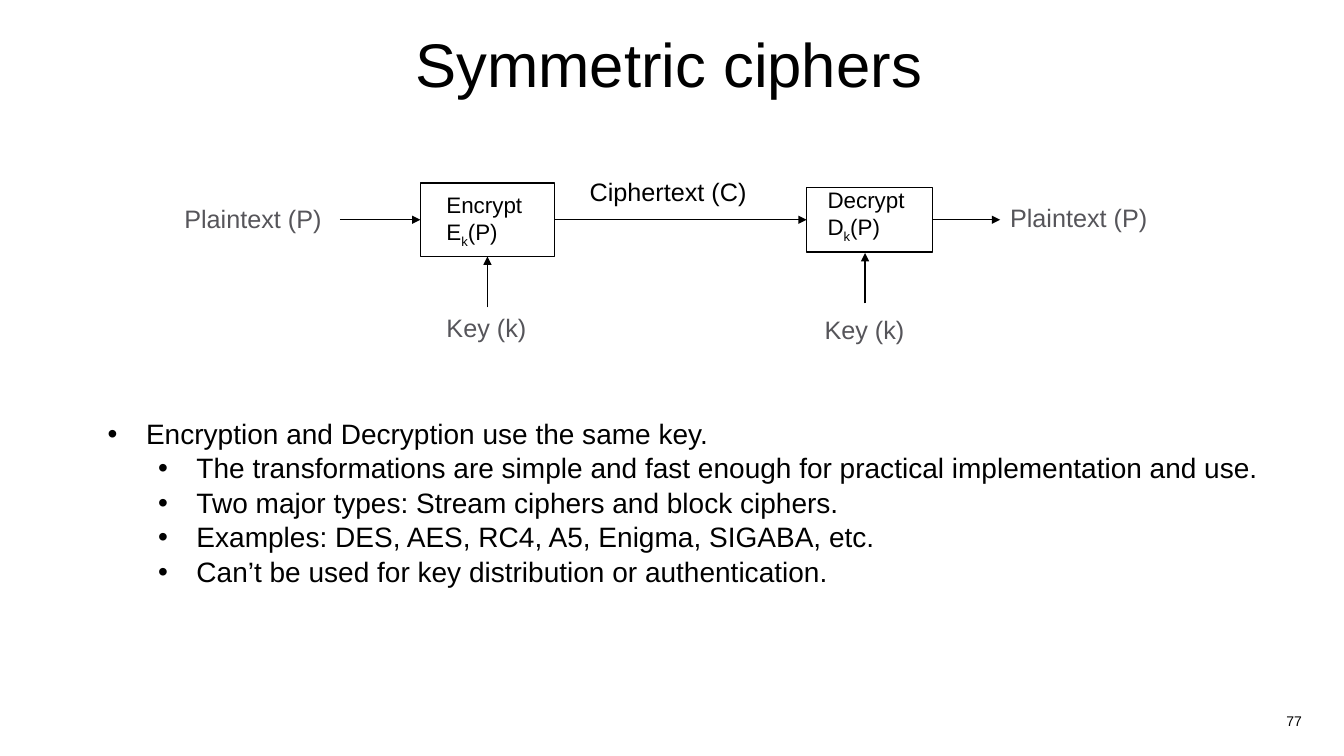
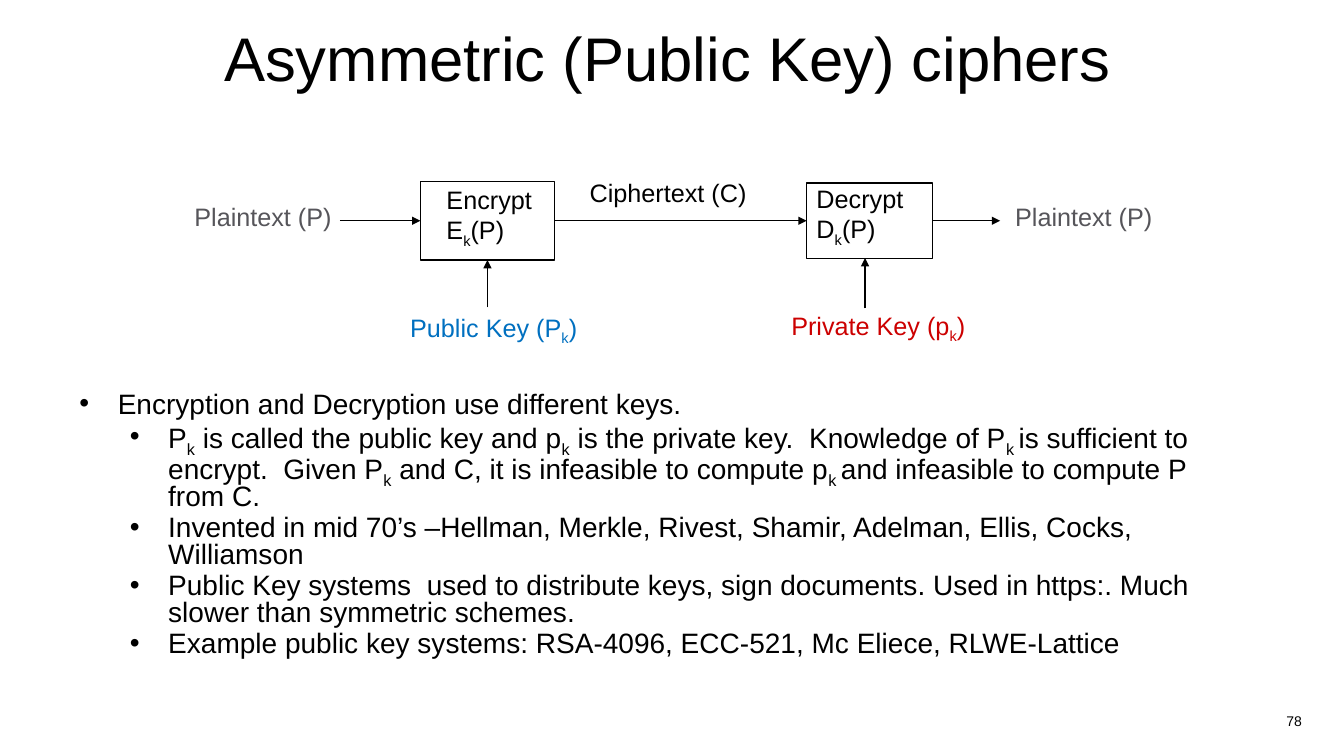
import pptx
import pptx.util
import pptx.dml.color
import pptx.enum.shapes
import pptx.enum.text
import pptx.oxml.ns
from lxml import etree

IN = pptx.util.Inches
PT = pptx.util.Pt
ALIGN = pptx.enum.text.PP_ALIGN
ANCHOR = pptx.enum.text.MSO_ANCHOR
BLACK, GRAY, BLUE, RED = "000000", "56555A", "0070C0", "CC0000"
FONT = "Arial"
LOCK = ["Encrypt", "E|k|(P)"]
OPEN = ["Decrypt", "D|k|(P)"]
PLAIN, CODED = ["Plaintext (P)"], ["Ciphertext (C)"]
LEFT, RIGHT = (4.17, 1.33), (8, 1.25)
START, STOP = 3.37, 9.92
KEYS = 8.58

SLIDES = [
    dict(
        page="77", title="Symmetric ciphers", head=(0.24, 0.29, 12.79, 0.75),
        mid=2.18, tall=(0.73, 0.64), tail=(3.05, 3.01, 2.51),
        body=(0.97, 4.12, 11.65, 2.79), pitch=0.9,
        wide=[
            (PLAIN, 1.73, 1.97, 1.67, GRAY),
            (CODED, 5.75, 1.7, 2.08, BLACK),
            (PLAIN, 9.92, 1.96, 1.67, GRAY),
        ],
        snug=[
            (["Key (k)"], 4.33, 3.05, 0.99, GRAY),
            (["Key (k)"], 8.08, 3.07, 0.99, GRAY),
        ],
        ops=[(LOCK, 4.33, 1.85, 1.03), (OPEN, 8.11, 1.8, 1.04)], size=16,
        points=[
            "Encryption and Decryption use the same key.",
            "The transformations are simple and fast enough for practical implementation and use.",
            "Two major types: Stream ciphers and block ciphers.",
            "Examples: DES, AES, RC4, A5, Enigma, SIGABA, etc.",
            "Can’t be used for key distribution or authentication.",
        ],
    ),
    dict(
        page="78", title="Asymmetric (Public Key) ciphers", head=(1.51, 0.23, 10.23, 1.25),
        mid=2.19, tall=(0.78, 0.75), tail=(3.05, 3.06, 2.56),
        body=(0.69, 3.85, 11.43, 2.95), pitch=0.8,
        wide=[
            (PLAIN, 1.83, 1.95, 1.67, GRAY),
            (CODED, 5.75, 1.71, 2.08, BLACK),
            (PLAIN, 9.97, 1.95, 1.67, GRAY),
        ],
        snug=[
            (["Public Key (P|k|)"], 3.97, 3.05, 1.93, BLUE),
            (["Private Key (p|k|)"], 7.75, 3.03, 2, RED),
        ],
        ops=[(LOCK, 4.33, 1.78, 1.12), (OPEN, 8, 1.77, 1.13)], size=18,
        points=[
            "Encryption and Decryption use different keys.",
            "P|k| is called the public key and p|k| is the private key.  Knowledge of P|k |is "
            "sufficient to encrypt.  Given P|k| and C, it is infeasible to compute p|k |and "
            "infeasible to compute P from C.",
            "Invented in mid 70’s –Hellman, Merkle, Rivest, Shamir, Adelman, Ellis, Cocks, Williamson",
            "Public Key systems  used to distribute keys, sign documents. Used in https:. "
            "Much slower than symmetric schemes.",
            "Example public key systems: RSA-4096, ECC-521, Mc Eliece, RLWE-Lattice",
        ],
    ),
]


def rgb(code):
    return pptx.dml.color.RGBColor.from_string(code)


def add_tag(node, name, **attrs):
    return etree.SubElement(node, pptx.oxml.ns.qn(name), **attrs)


def write(page, place, lines, size, color=BLACK, align=ALIGN.LEFT, wrap=True,
          anchor=ANCHOR.TOP, pitch=None, dots=False):
    frame = page.shapes.add_textbox(*map(IN, place)).text_frame
    frame.word_wrap = wrap
    frame.vertical_anchor = anchor
    for row, line in enumerate(lines):
        para = frame.add_paragraph() if row else frame.paragraphs[0]
        for spot, part in enumerate(line.split("|")):
            run = para.add_run()
            run.text = part
            if spot % 2:
                run._r.get_or_add_rPr().set("baseline", "-25000")
        if dots:
            para.level = min(row, 1)
            props = para._p.get_or_add_pPr()
            props.set("marL", str(IN(0.38 + 0.5 * para.level)))
            props.set("indent", str(IN(-0.38)))
            add_tag(props, "a:buFont", typeface=FONT)
            add_tag(props, "a:buChar", char="•")
            para.space_before = PT(3 if row else 0)
        para.alignment = align
        if pitch:
            para.line_spacing = pitch
        para.font.name = FONT
        para.font.size = PT(size)
        para.font.color.rgb = rgb(color)


def add_box(page, span, mid, tall):
    left, width = span
    box = page.shapes.add_shape(
        pptx.enum.shapes.MSO_SHAPE.RECTANGLE,
        IN(left), IN(mid - tall / 2), IN(width), IN(tall))
    box.shadow.inherit = False
    box.fill.background()
    box.line.color.rgb = rgb(BLACK)
    box.line.width = PT(1)
    return box


def arrow(page, start, end, source=None, target=None):
    line = page.shapes.add_connector(
        pptx.enum.shapes.MSO_CONNECTOR.STRAIGHT, *map(IN, start + end))
    if source:
        line.begin_connect(*source)
    if target:
        line.end_connect(*target)
    line.line.color.rgb = rgb(BLACK)
    line.line.width = PT(1)
    add_tag(line.line._get_or_add_ln(), "a:tailEnd", type="triangle")
    add_tag(line._element.spPr, "a:effectLst")


def draw(page, data):
    write(page, (12.64, 6.95, 0.39, 0.4), [data["page"]], 10,
          align=ALIGN.CENTER, anchor=ANCHOR.MIDDLE)
    write(page, data["head"], [data["title"]], 44, align=ALIGN.CENTER, pitch=0.9)
    write(page, data["body"], data["points"], 20, pitch=data["pitch"], dots=True)

    mid = data["mid"]
    lock, unlock = [add_box(page, span, mid, tall)
                    for span, tall in zip((LEFT, RIGHT), data["tall"])]
    low, base, tip = data["tail"]
    edge, ends = sum(LEFT), sum(RIGHT)
    core = LEFT[0] + LEFT[1] / 2
    arrow(page, (START, mid), (LEFT[0], mid), target=(lock, 1))
    arrow(page, (edge, mid), (RIGHT[0], mid), (lock, 3), (unlock, 1))
    arrow(page, (ends, mid), (STOP, mid), source=(unlock, 3))
    arrow(page, (core, low), (core, mid + data["tall"][0] / 2), target=(lock, 2))
    arrow(page, (KEYS, base), (KEYS, tip))

    for wrap, group in ((True, data["wide"]), (False, data["snug"])):
        for lines, left, top, width, color in group:
            write(page, (left, top, width, 0.4), lines, 18, color, wrap=wrap)
    for lines, left, top, width in data["ops"]:
        write(page, (left, top, width, data["size"] / 25), lines, data["size"], wrap=False)


def main():
    deck = pptx.Presentation()
    deck.slide_width, deck.slide_height = IN(13.33), IN(7.5)
    for data in SLIDES:
        draw(deck.slides.add_slide(deck.slide_layouts[6]), data)
    deck.save("out.pptx")


if __name__ == "__main__":
    main()
